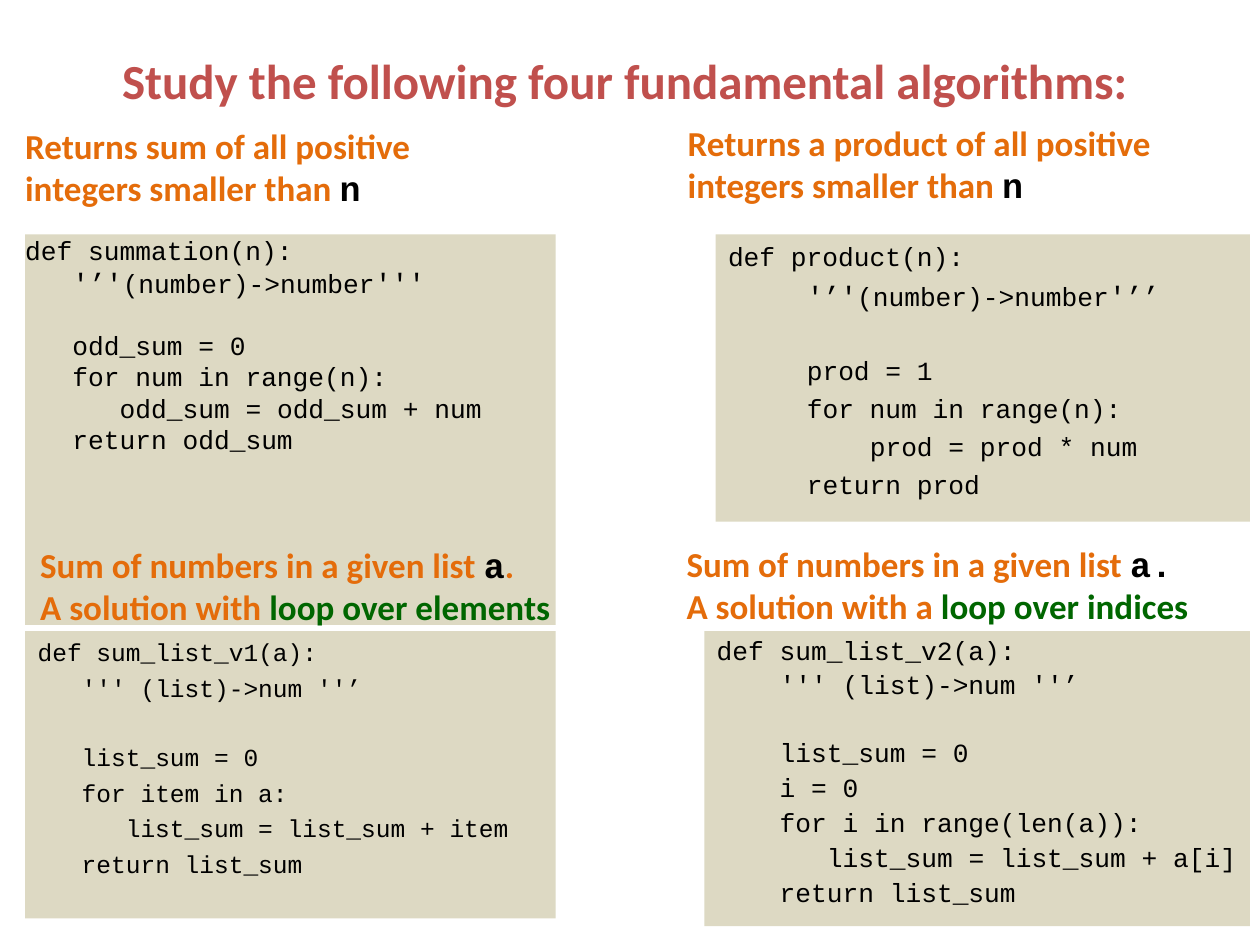
from typing import NamedTuple

from pptx import Presentation
from pptx.dml.color import RGBColor
from pptx.enum.shapes import MSO_SHAPE
from pptx.enum.text import MSO_ANCHOR, PP_ALIGN
from pptx.util import Inches, Pt

RECT = MSO_SHAPE.RECTANGLE
TOP, MIDDLE = MSO_ANCHOR.TOP, MSO_ANCHOR.MIDDLE
LEFT, CENTER = PP_ALIGN.LEFT, PP_ALIGN.CENTER
SANS, MONO = "Calibri", "Courier New"
CHAR_WIDTH, LINE_HEIGHT = 0.6, 1.13
COLORS = {
    "title": "C0504D",
    "heading": "E46C0A",
    "loop": "006600",
    "code": "000000",
    "panel": "DDD9C3",
}


class Line(NamedTuple):
    indent: int
    text: str
    gap_before: bool = False


class Doc(NamedTuple):
    indent: int
    opening: str
    signature: str
    closing: str


class CodePanel(NamedTuple):
    box: tuple[float, float, float, float]
    size: float
    quote_size: float
    space_before: float
    line_spacing: float
    margins: tuple[float, float]
    doc: Doc
    lines: list[Line]


class Heading(NamedTuple):
    box: tuple[float, float, float, float]
    lines: list[list[tuple[str, str]]]
    size: float = 20
    align: PP_ALIGN = LEFT
    anchor: MSO_ANCHOR = MIDDLE
    margins: tuple[float, float] = (0.1, 0.05)


PANELS = [
    CodePanel((0.2, 1.86, 4.21, 3.1), 15, 16, 0, 1, (0, 0),
              Doc(3, "'’'", "(number)->number", "'''"),
              [Line(0, "def summation(n):"),
               Line(3, "odd_sum = 0", True),
               Line(3, "for num in range(n):"),
               Line(6, "odd_sum = odd_sum + num"),
               Line(3, "return odd_sum")]),
    CodePanel((5.68, 1.86, 4.24, 2.28), 15, 16, 3.7, 1, (0.1, 0.05),
              Doc(5, "'’'", "(number)->number", "'’’"),
              [Line(0, "def product(n):"),
               Line(5, "prod = 1", True),
               Line(5, "for num in range(n):"),
               Line(9, "prod = prod * num"),
               Line(5, "return prod")]),
    CodePanel((0.2, 5.01, 4.21, 2.28), 14, 14, 3.5, 1, (0.1, 0.05),
              Doc(3, "'''", " (list)->num ", "''’"),
              [Line(0, "def sum_list_v1(a):"),
               Line(3, "list_sum = 0", True),
               Line(3, "for item in a:"),
               Line(6, "list_sum = list_sum + item"),
               Line(3, "return list_sum")]),
    CodePanel((5.59, 5.01, 4.33, 2.34), 15, 15, 3.7, 0.9, (0.1, 0.05),
              Doc(4, "'''", " (list)->num ", "''’"),
              [Line(0, "def sum_list_v2(a):"),
               Line(4, "list_sum = 0", True),
               Line(4, "i = 0"),
               Line(4, "for i in range(len(a)):"),
               Line(7, "list_sum = list_sum + a[i]"),
               Line(4, "return list_sum")]),
]

HEADINGS = [
    Heading((0.2, 0.99, 3.74, 1.02),
            [[("Returns sum of all positive integers smaller than ", "heading"), ("n", "code")]],
            anchor=TOP, margins=(0, 0)),
    Heading((5.36, 0.79, 4.09, 1.02),
            [[("Returns a product of all positive integers smaller than ", "heading"), ("n", "code")]]),
    Heading((0.59, 0.29, 8.82, 0.68),
            [[("Study the following four fundamental algorithms: ", "title")]],
            size=28, align=CENTER),
    Heading((0.22, 4.14, 4.45, 1.02),
            [[("Sum of numbers in a given list ", "heading"), ("a", "code"), (".", "heading")],
             [("A solution with ", "heading"), ("loop over elements", "loop")]]),
    Heading((5.35, 4.13, 4.45, 1.02),
            [[("Sum of numbers in a given list ", "heading"), ("a.", "code")],
             [("A solution with a ", "heading"), ("loop over indices", "loop")]]),
]


def set_frame(tf, margins: tuple[float, float], anchor: MSO_ANCHOR) -> None:
    """Set wrapping, anchor and insets of a text frame."""
    tf.word_wrap = True
    tf.vertical_anchor = anchor
    tf.margin_left = tf.margin_right = Inches(margins[0])
    tf.margin_top = tf.margin_bottom = Inches(margins[1])


def add_run(p, text: str, size: float, color: str, bold: bool = False) -> None:
    """Append a run; code is set in the monospaced font."""
    r = p.add_run()
    r.text = text
    r.font.name = MONO if color == "code" else SANS
    r.font.size = Pt(size)
    r.font.bold = bold
    r.font.color.rgb = RGBColor.from_string(COLORS[color])


def add_code(s, panel: CodePanel) -> None:
    """Draw a filled panel with an indented function listing."""
    sp = s.shapes.add_shape(RECT, *map(Inches, panel.box))
    sp.shadow.inherit = False
    sp.fill.solid()
    sp.fill.fore_color.rgb = RGBColor.from_string(COLORS["panel"])
    sp.line.fill.background()
    tf = sp.text_frame
    set_frame(tf, panel.margins, TOP)
    tf.margin_right = 0
    blank = panel.size * LINE_HEIGHT * panel.line_spacing + panel.space_before
    for i, line in enumerate([panel.lines[0], panel.doc, *panel.lines[1:]]):
        p = tf.paragraphs[0] if i == 0 else tf.add_paragraph()
        p.alignment = LEFT
        p.line_spacing = panel.line_spacing
        indent = Pt(line.indent * panel.size * CHAR_WIDTH)
        p._p.get_or_add_pPr().set("marL", str(int(indent)))
        p._p.get_or_add_pPr().set("indent", "0")
        if isinstance(line, Doc):
            p.space_before = Pt(panel.space_before)
            add_run(p, line.opening, panel.quote_size, "code")
            add_run(p, line.signature, panel.size, "code")
            add_run(p, line.closing, panel.quote_size, "code")
        else:
            p.space_before = Pt(panel.space_before + blank * line.gap_before)
            add_run(p, line.text, panel.size, "code")


def add_heading(s, heading: Heading) -> None:
    """Draw a bold heading of coloured runs."""
    tf = s.shapes.add_textbox(*map(Inches, heading.box)).text_frame
    set_frame(tf, heading.margins, heading.anchor)
    for i, line in enumerate(heading.lines):
        p = tf.paragraphs[0] if i == 0 else tf.add_paragraph()
        p.alignment = heading.align
        for text, color in line:
            add_run(p, text, heading.size, color, bold=True)


def main() -> None:
    """Build the slide of four algorithms."""
    prs = Presentation()
    prs.slide_width, prs.slide_height = Inches(10), Inches(7.5)
    s = prs.slides.add_slide(prs.slide_layouts[6])
    for panel in PANELS:
        add_code(s, panel)
    for heading in HEADINGS:
        add_heading(s, heading)
    prs.save("out.pptx")


if __name__ == "__main__":
    main()
